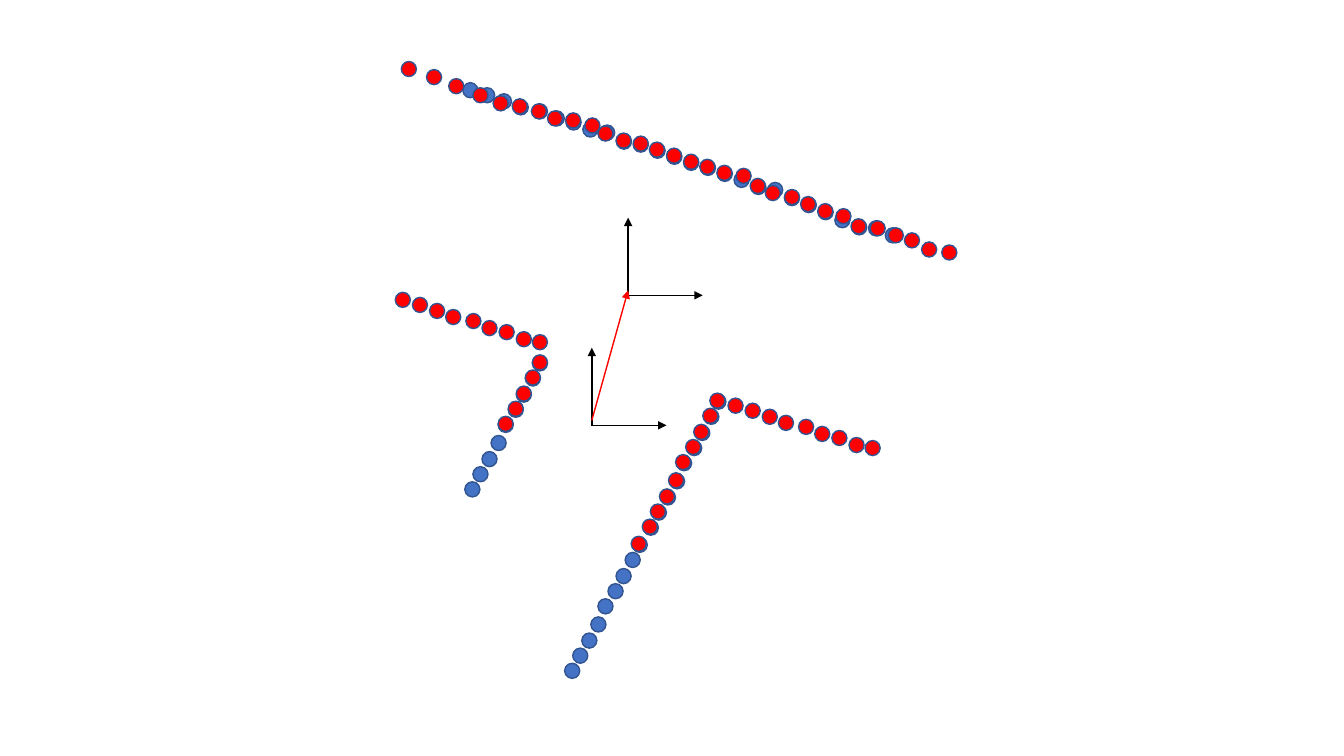
from lxml.etree import SubElement
from pptx import Presentation
from pptx.dml.color import RGBColor
from pptx.enum.shapes import MSO_CONNECTOR as CONN, MSO_SHAPE as SHAPE
from pptx.oxml.ns import qn
from pptx.util import Inches, Pt

BLUE = RGBColor(0x44, 0x72, 0xC4)
OUTLINE = RGBColor(0x32, 0x54, 0x91)
RED = RGBColor(0xFF, 0x00, 0x00)
BLACK = RGBColor(0x00, 0x00, 0x00)

# Dot offsets along the two sides of a corner
STEEP = [(0, 0), (0.08, -0.15), (0.17, -0.3), (0.26, -0.46), (0.33, -0.64),
         (0.43, -0.79), (0.51, -0.94), (0.6, -1.1), (0.67, -1.25)]
SHALLOW = [(0, 0), (0.17, 0.05), (0.34, 0.11), (0.5, 0.17), (0.7, 0.21),
           (0.86, 0.28), (1.03, 0.32), (1.2, 0.39), (1.36, 0.42)]

BLUE_WALL_X = ([4.59 + i / 6 for i in range(4)]
               + [5.28 + i / 6 for i in range(22)])
BLUE_WALL_Y = [0.82, 0.87, 0.93, 0.99, 1.03, 1.1, 1.14, 1.21, 1.24, 1.33,
               1.36, 1.42, 1.48, 1.54, 1.59, 1.65, 1.71, 1.78, 1.81, 1.89,
               1.96, 2.03, 2.11, 2.18, 2.19, 2.26]
RED_WALL = [(3.98, 0.61), (4.23, 0.69), (4.45, 0.78), (4.69, 0.87),
            (4.89, 0.95), (5.08, 0.98), (5.27, 1.03), (5.43, 1.1),
            (5.61, 1.12), (5.8, 1.17), (5.93, 1.25), (6.11, 1.32),
            (6.28, 1.35), (6.44, 1.41), (6.61, 1.47), (6.78, 1.53),
            (6.94, 1.58), (7.11, 1.64), (7.3, 1.67), (7.44, 1.77),
            (7.59, 1.84), (7.78, 1.88), (7.94, 1.95), (8.11, 2.02),
            (8.29, 2.07), (8.44, 2.17), (8.63, 2.19), (8.81, 2.26),
            (8.97, 2.31), (9.14, 2.4), (9.34, 2.43)]


def shifted(x, y, offsets):
    """Move a list of offsets to start from (x, y)."""
    return [(x + dx, y + dy) for dx, dy in offsets]


class ScanSlide:
    DOT = Inches(0.15)
    LINE = Pt(1)

    def __init__(self, prs):
        self.shapes = prs.slides.add_slide(prs.slide_layouts[6]).shapes

    def group(self):
        return self.shapes.add_group_shape().shapes

    def dots(self, shapes, points, color):
        for x, y in points:
            sp = shapes.add_shape(SHAPE.OVAL, Inches(x), Inches(y),
                                  self.DOT, self.DOT)
            sp.shadow.inherit = False
            sp.fill.solid()
            sp.fill.fore_color.rgb = color
            sp.line.color.rgb = OUTLINE
            sp.line.width = self.LINE

    def arrow(self, shapes, start, end, color):
        ends = [Inches(v) for v in (*start, *end)]
        c = shapes.add_connector(CONN.STRAIGHT, *ends)
        c.line.color.rgb = color
        c.line.width = self.LINE
        SubElement(c.line._get_or_add_ln(), qn("a:tailEnd"), type="triangle")
        SubElement(c._element.spPr, qn("a:effectLst"))

    def axes(self, shapes, x, y):
        self.arrow(shapes, (x, y), (x + 0.75, y), BLACK)
        self.arrow(shapes, (x + 0.01, y + 0.01), (x + 0.01, y - 0.77), BLACK)


def main():
    prs = Presentation()
    prs.slide_width, prs.slide_height = Inches(13.33), Inches(7.5)
    s = ScanSlide(prs)

    s.dots(s.group(), zip(BLUE_WALL_X, BLUE_WALL_Y), BLUE)
    for x, y in [(4.61, 4.78), (6.38, 5.16), (5.6, 6.58)]:
        s.dots(s.group(), shifted(x, y, STEEP), BLUE)
    s.axes(s.group(), 5.86, 4.22)

    red_scan = s.group()
    for points in (RED_WALL,
                   shifted(3.92, 2.9, SHALLOW),
                   shifted(4.61, 4.77, STEEP[4:]),
                   shifted(6.37, 5.15, STEEP),
                   shifted(5.59, 6.57, STEEP[-1:]),
                   shifted(7.22, 3.95, SHALLOW)):
        s.dots(red_scan, points, RED)
    s.axes(red_scan, 6.22, 2.93)

    s.arrow(s.shapes, (5.87, 4.17), (6.23, 2.88), RED)
    prs.save("out.pptx")


if __name__ == "__main__":
    main()
